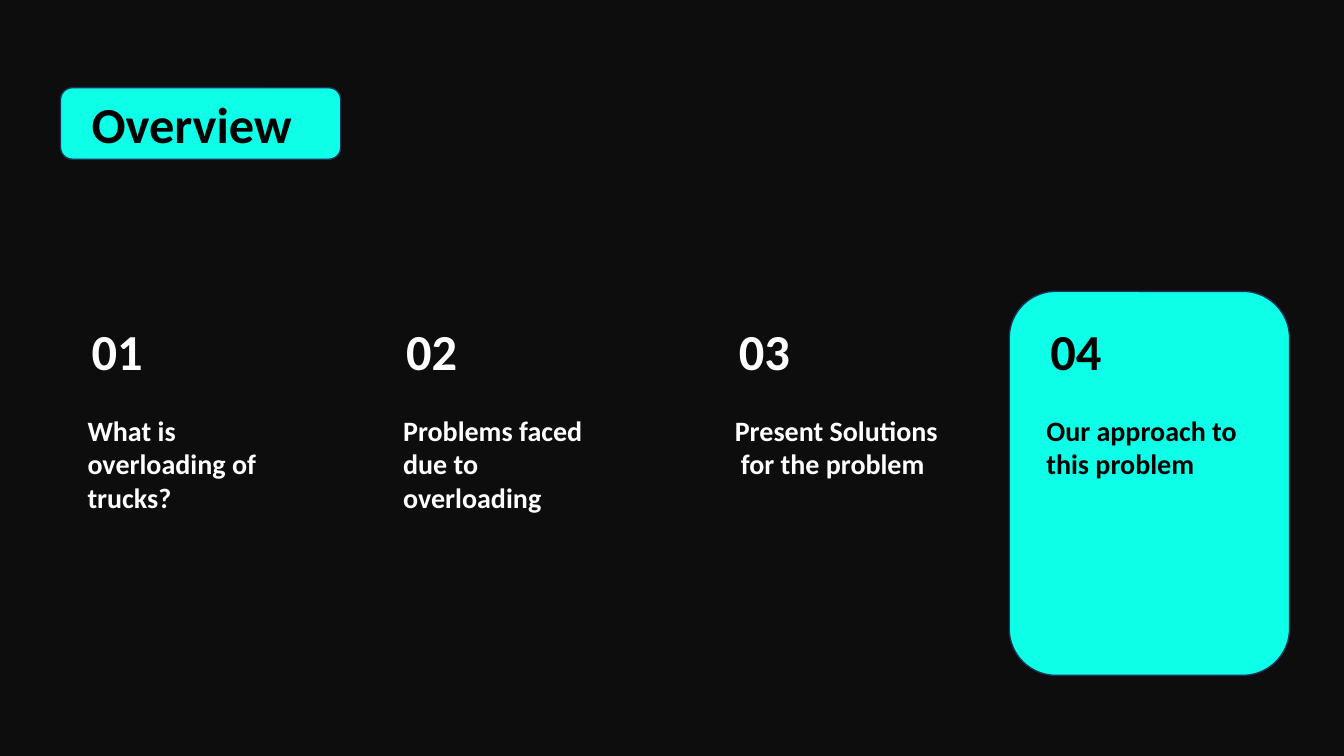
from pptx import Presentation
from pptx.dml.color import RGBColor
from pptx.enum import shapes, text
from pptx.util import Inches, Pt

BACKGROUND = RGBColor(0x0D, 0x0D, 0x0D)
CYAN = RGBColor(0x0D, 0xFF, 0xE8)
NAVY = RGBColor(0x1E, 0x32, 0x56)
WHITE = RGBColor(0xFF, 0xFF, 0xFF)
BLACK = RGBColor(0, 0, 0)

NUMBER_TOP, TOPIC_TOP = 3.13, 4.05
# number left, topic left, topic height, colour, hanging indent, topic
TOPICS = [
    (0.81, 0.77, 1.11, WHITE, 0, "What is overloading of trucks?"),
    (3.93, 3.90, 1.11, WHITE, 0, "Problems faced due to overloading"),
    (7.23, 7.19, 0.77, WHITE, 0.06, "Present Solutions for the problem"),
    (10.32, 10.28, 0.77, BLACK, 0, "Our approach to this problem"),
]


def add_panel(s, left, top, width, height):
    sp = s.shapes.add_shape(shapes.MSO_SHAPE.ROUNDED_RECTANGLE, Inches(left),
                            Inches(top), Inches(width), Inches(height))
    sp.shadow.inherit = False
    sp.fill.solid()
    sp.fill.fore_color.rgb = CYAN
    sp.line.color.rgb = NAVY
    sp.line.width = Pt(1)


def add_text(s, words, left, top, width, height, size=36, color=BLACK, hanging=0):
    """Add a bold text box; hanging indents every line after the first."""
    sp = s.shapes.add_textbox(Inches(left), Inches(top), Inches(width), Inches(height))
    tf = sp.text_frame
    tf.word_wrap = True
    tf.auto_size = text.MSO_AUTO_SIZE.SHAPE_TO_FIT_TEXT
    p = tf.paragraphs[0]
    if hanging:
        pPr = p._p.get_or_add_pPr()
        pPr.set("marL", str(Inches(hanging)))
        pPr.set("indent", str(-Inches(hanging)))
    r = p.add_run()
    r.text = words
    r.font.name = "Calibri"
    r.font.size = Pt(size)
    r.font.bold = True
    r.font.color.rgb = color


def main():
    prs = Presentation()
    prs.slide_width, prs.slide_height = Inches(13.33), Inches(7.5)
    s = prs.slides.add_slide(prs.slide_layouts[6])
    s.background.fill.solid()
    s.background.fill.fore_color.rgb = BACKGROUND

    add_panel(s, 0.6, 0.87, 2.78, 0.71)
    add_text(s, "Overview", 0.81, 0.87, 2.78, 0.71)

    add_panel(s, 10.01, 2.89, 2.78, 3.81)
    for i, (number_left, left, height, color, hanging, topic) in enumerate(TOPICS, 1):
        add_text(s, f"{i:02}", number_left, NUMBER_TOP, 0.84, 0.71, color=color)
        add_text(s, topic, left, TOPIC_TOP, 2.24, height, size=20, color=color,
                 hanging=hanging)

    prs.save("out.pptx")


if __name__ == "__main__":
    main()
